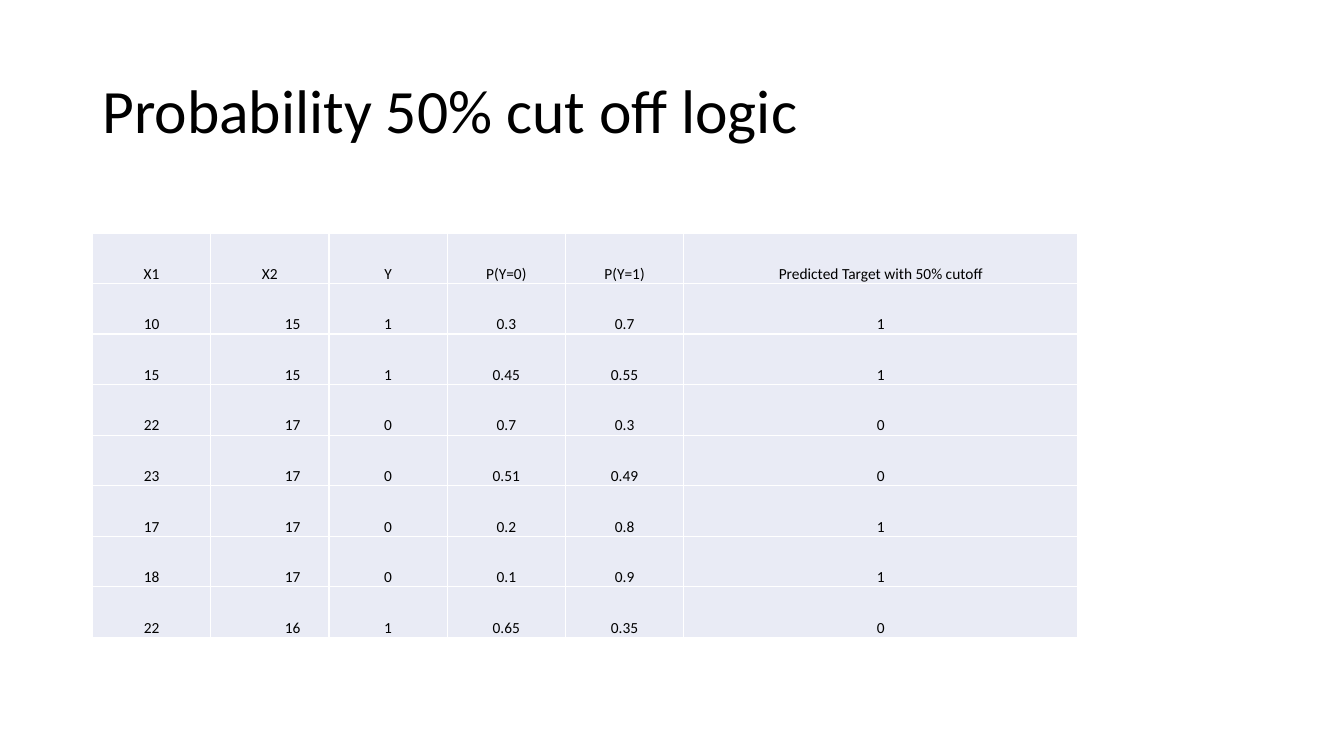
from lxml import etree
from pptx import Presentation
from pptx.dml.color import RGBColor
from pptx.enum.text import MSO_ANCHOR, PP_ALIGN
from pptx.oxml.ns import qn
from pptx.util import Cm, Pt

LEFT, CENTER, RIGHT = PP_ALIGN.LEFT, PP_ALIGN.CENTER, PP_ALIGN.RIGHT
MIDDLE, BOTTOM = MSO_ANCHOR.MIDDLE, MSO_ANCHOR.BOTTOM

FONT = "Calibri"
BLACK, WHITE, PALE_BLUE = "000000", "FFFFFF", "E9EBF5"

HEADINGS = ["X1", "X2", "Y", "P(Y=0)", "P(Y=1)", "Predicted Target with 50% cutoff"]
OBSERVATIONS = [
    ["10", "15", "1", "0.3", "0.7", "1"],
    ["15", "15", "1", "0.45", "0.55", "1"],
    ["22", "17", "0", "0.7", "0.3", "0"],
    ["23", "17", "0", "0.51", "0.49", "0"],
    ["17", "17", "0", "0.2", "0.8", "1"],
    ["18", "17", "0", "0.1", "0.9", "1"],
    ["22", "16", "1", "0.65", "0.35", "0"],
]
COLUMN_SHARES = [3, 3, 3, 3, 3, 10]
X2_COLUMN = 1


def color(hex_string):
    return RGBColor.from_string(hex_string)


def write_text(frame, text, size, align=LEFT, ink=BLACK, line_spacing=None):
    para = frame.paragraphs[0]
    para.alignment = align
    para.line_spacing = line_spacing
    span = para.add_run()
    span.text = text
    span.font.name = FONT
    span.font.size = Pt(size)
    span.font.color.rgb = color(ink)


def set_borders(cell, hex_string, width):
    properties = cell._tc.get_or_add_tcPr()
    for position, side in enumerate(("a:lnL", "a:lnR", "a:lnT", "a:lnB")):
        line = etree.Element(qn(side), w=str(Pt(width)))
        fill = etree.SubElement(line, qn("a:solidFill"))
        etree.SubElement(fill, qn("a:srgbClr"), val=hex_string)
        properties.insert(position, line)


def add_title(page, left, top, width, height):
    box = page.shapes.add_textbox(Cm(left), Cm(top), Cm(width), Cm(height))
    frame = box.text_frame
    frame.word_wrap = True
    frame.vertical_anchor = MIDDLE
    write_text(frame, "Probability 50% cut off logic", size=44, line_spacing=0.9)


def add_cutoff_table(page, left, top, width, height):
    rows = [HEADINGS] + OBSERVATIONS
    table = page.shapes.add_table(
        len(rows), len(HEADINGS), Cm(left), Cm(top), Cm(width), Cm(height)
    ).table
    table.first_row = table.horz_banding = False
    for column, share in zip(table.columns, COLUMN_SHARES):
        column.width = Cm(width * share / sum(COLUMN_SHARES))
    for row_index, values in enumerate(rows):
        table.rows[row_index].height = Cm(height / len(rows))
        for column_index, value in enumerate(values):
            cell = table.cell(row_index, column_index)
            cell.fill.solid()
            cell.fill.fore_color.rgb = color(PALE_BLUE)
            set_borders(cell, WHITE, width=1)
            # X2 values sit to the right, away from the cell edge
            indented = column_index == X2_COLUMN and row_index > 0
            cell.margin_left = cell.margin_top = Cm(0.03)
            cell.margin_right = Cm(0.72 if indented else 0.03)
            cell.margin_bottom = 0
            cell.vertical_anchor = BOTTOM
            write_text(cell.text_frame, value, size=11, align=RIGHT if indented else CENTER)


def main():
    deck = Presentation()
    deck.slide_width, deck.slide_height = Cm(33.87), Cm(19.05)
    page = deck.slides.add_slide(deck.slide_layouts[6])
    add_title(page, left=2.33, top=1.01, width=29.21, height=3.68)
    add_cutoff_table(page, left=2.33, top=5.87, width=24.84, height=10.2)
    deck.save("out.pptx")


if __name__ == "__main__":
    main()
